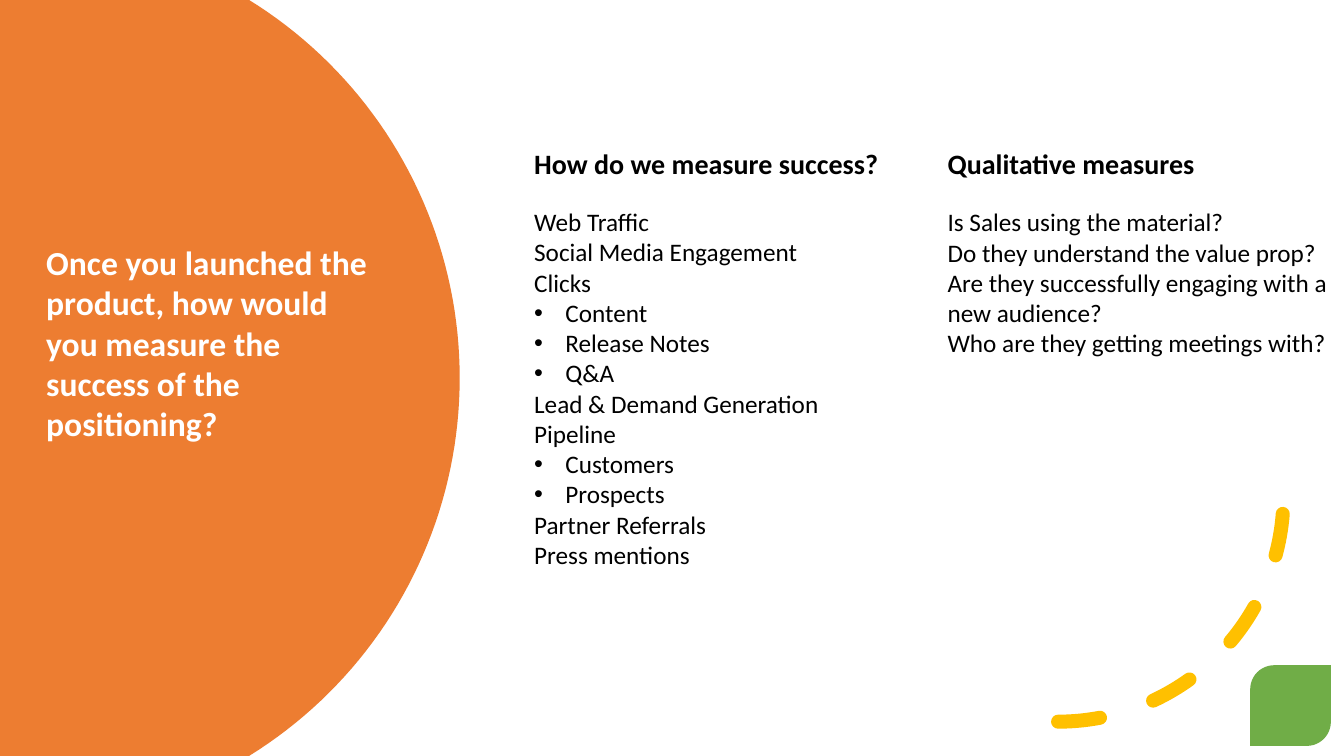
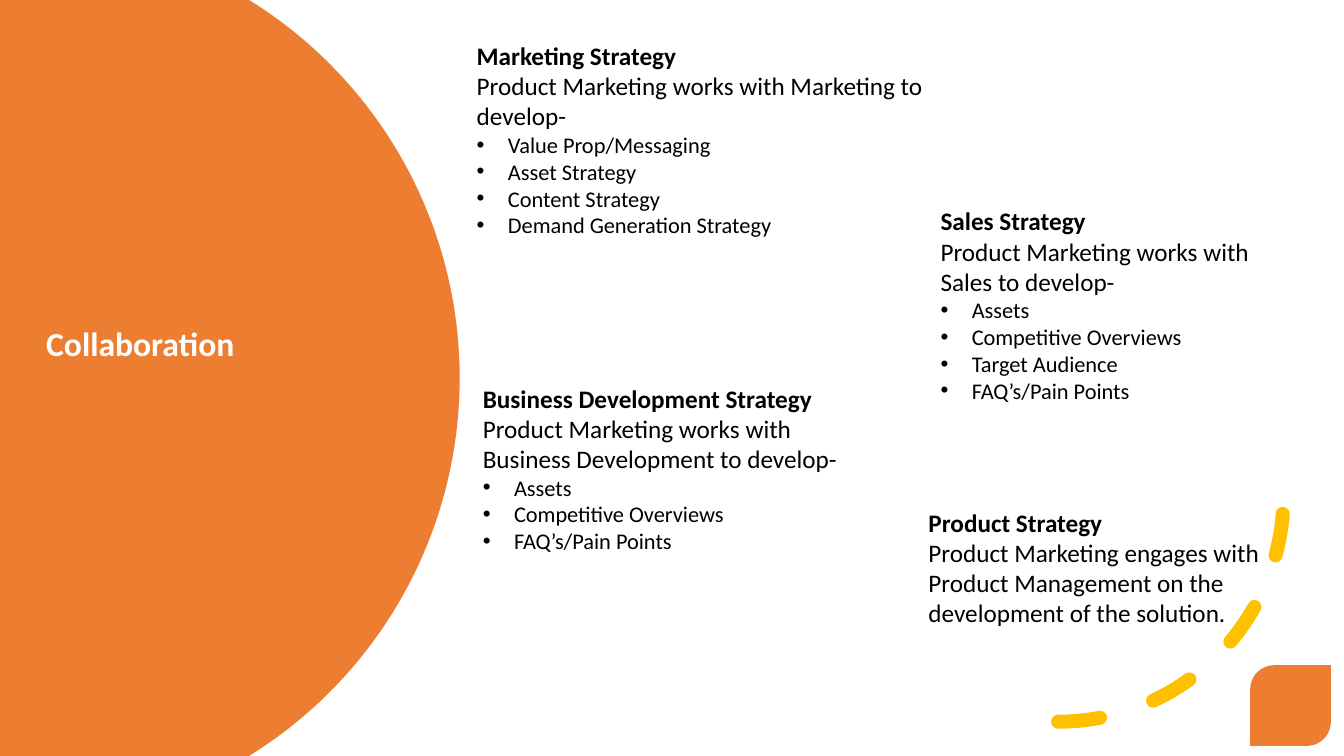
"""Build two slides on measuring positioning success and on collaboration."""
from dataclasses import dataclass
from math import asin, cos, sin

from lxml.etree import SubElement
from pptx import Presentation
from pptx.dml.color import RGBColor
from pptx.enum.dml import MSO_LINE_DASH_STYLE as DASH
from pptx.enum.shapes import MSO_SHAPE as SHAPE
from pptx.enum.text import MSO_ANCHOR as ANCHOR
from pptx.oxml.ns import qn
from pptx.util import Inches, Pt

WIDTH, HEIGHT = 13.33, 7.5
ORANGE, YELLOW, GREEN = "ED7D31", "FFC000", "70AD47"
BLACK, WHITE = "000000", "FFFFFF"
BULLET_INDENT = Inches(0.31)
DISC_CENTRE, DISC_RADIUS, DISC_STEPS = 0.15, 4.41, 80

TITLE = {"name": "Calibri", "size": Pt(24), "bold": True}
HEADING = TITLE | {"size": Pt(20)}
SUBHEADING = TITLE | {"size": Pt(18)}
BODY = SUBHEADING | {"bold": False}
DETAIL = BODY | {"size": Pt(16)}


@dataclass(frozen=True)
class Line:
    """One paragraph with its font values."""
    text: str
    font: dict
    bullet: bool = False


@dataclass(frozen=True)
class Block:
    """A text box: its place in inches and its paragraphs."""
    left: float
    top: float
    width: float
    height: float
    lines: list[Line]


@dataclass(frozen=True)
class Page:
    """The parts that differ from slide to slide."""
    title: str
    corner: str
    blocks: list[Block]


def colour(value: str) -> RGBColor:
    """Turn a hex string into a colour."""
    return RGBColor.from_string(value)


def fill_plain(shape, value: str) -> None:
    """Give a shape a solid fill with no line or shadow."""
    shape.shadow.inherit = False
    shape.fill.solid()
    shape.fill.fore_color.rgb = colour(value)
    shape.line.fill.background()


def add_bullet(paragraph) -> None:
    """Give a paragraph a hanging bullet."""
    properties = paragraph._p.get_or_add_pPr()
    properties.set("marL", str(BULLET_INDENT))
    properties.set("indent", str(-BULLET_INDENT))
    SubElement(properties, qn("a:buFont")).set("typeface", "Arial")
    SubElement(properties, qn("a:buChar")).set("char", "•")


def add_block(slide, block: Block, text_colour: str = BLACK, anchor=ANCHOR.TOP) -> None:
    """Draw a text box with its paragraphs."""
    place = map(Inches, (block.left, block.top, block.width, block.height))
    frame = slide.shapes.add_textbox(*place).text_frame
    frame.word_wrap = True
    frame.vertical_anchor = anchor
    for index, line in enumerate(block.lines):
        paragraph = frame.add_paragraph() if index else frame.paragraphs[0]
        run = paragraph.add_run()
        run.text = line.text
        for name, value in line.font.items():
            setattr(run.font, name, value)
        run.font.color.rgb = colour(text_colour)
        if line.bullet:
            add_bullet(paragraph)


def add_disc(slide) -> None:
    """Draw the large disc cut off by the slide edges."""
    limit = asin(HEIGHT / 2 / DISC_RADIUS)
    angles = [limit * (2 * step / DISC_STEPS - 1) for step in range(DISC_STEPS + 1)]
    points = [(Inches(DISC_CENTRE + DISC_RADIUS * cos(angle)),
               Inches(HEIGHT / 2 + DISC_RADIUS * sin(angle))) for angle in angles]
    builder = slide.shapes.build_freeform(0, 0)
    builder.add_line_segments([*points, (0, Inches(HEIGHT))], close=True)
    fill_plain(builder.convert_to_shape(), ORANGE)


def add_dashed_arc(slide) -> None:
    """Draw the dashed quarter circle at the lower right."""
    arc = slide.shapes.add_shape(SHAPE.ARC, *map(Inches, (8.26, 2.69, 4.47, 4.47)))
    arc.shadow.inherit = False
    arc.fill.background()
    arc.line.color.rgb = colour(YELLOW)
    arc.line.width = Pt(10)
    arc.line.dash_style = DASH.DASH
    arc.line._get_or_add_ln().set("cap", "rnd")
    arc._element.spPr.xfrm.set("flipV", "1")


def add_corner(slide, value: str) -> None:
    """Draw the rounded square in the corner."""
    corner = slide.shapes.add_shape(SHAPE.ROUND_2_DIAG_RECTANGLE,
                                    *map(Inches, (12.4, 6.6, 0.8, 0.8)))
    corner.adjustments[0] = 0.297
    fill_plain(corner, value)


def add_page(presentation, page: Page) -> None:
    """Add one slide with the shared decoration and its text."""
    slide = presentation.slides.add_slide(presentation.slide_layouts[6])
    add_disc(slide)
    add_dashed_arc(slide)
    add_corner(slide, page.corner)
    title = Block(0.36, 1.24, 3.48, 4.32, [Line(page.title, TITLE)])
    add_block(slide, title, WHITE, ANCHOR.MIDDLE)
    for block in page.blocks:
        add_block(slide, block)


def bullets(font: dict, *texts: str) -> list[Line]:
    """Make bulleted lines."""
    return [Line(text, font, True) for text in texts]


def plain(*texts: str) -> list[Line]:
    """Make body lines without bullets."""
    return [Line(text, BODY) for text in texts]


def strategy(heading: str, summary: str, *details: str) -> list[Line]:
    """Make a heading, a summary and its bulleted details."""
    return [Line(heading, SUBHEADING), *plain(summary), *bullets(DETAIL, *details)]


PAGES = [
    Page("Once you launched the product, how would you measure the success "
         "of the positioning?", GREEN, [
             Block(5.2, 1.4, 3.9, 0.44, [Line("How do we measure success?", HEADING)]),
             Block(5.2, 2, 3.9, 4.04, [
                 *plain("Web Traffic", "Social Media Engagement", "Clicks"),
                 *bullets(BODY, "Content", "Release Notes", "Q&A"),
                 *plain("Lead & Demand Generation", "Pipeline"),
                 *bullets(BODY, "Customers", "Prospects"),
                 *plain("Partner Referrals", "Press mentions")]),
             Block(9.3, 1.4, 3.9, 0.44, [Line("Qualitative measures", HEADING)]),
             Block(9.3, 2, 4.09, 1.62, plain(
                 "Is Sales using the material?",
                 "Do they understand the value prop?",
                 "Are they successfully engaging with a new audience?",
                 "Who are they getting meetings with?"))]),
    Page("Collaboration", ORANGE, [
        Block(4.63, 0.35, 4.74, 2.09, strategy(
            "Marketing Strategy", "Product Marketing works with Marketing to develop-",
            "Value Prop/Messaging", "Asset Strategy", "Content Strategy",
            "Demand Generation Strategy")),
        Block(9.23, 1.99, 3.72, 2.09, strategy(
            "Sales Strategy", "Product Marketing works with Sales to develop-",
            "Assets", "Competitive Overviews", "Target Audience", "FAQ’s/Pain Points")),
        Block(4.69, 3.75, 3.72, 1.82, strategy(
            "Business Development Strategy",
            "Product Marketing works with Business Development to develop-",
            "Assets", "Competitive Overviews", "FAQ’s/Pain Points")),
        Block(9.11, 4.98, 3.72, 1.31, strategy(
            "Product Strategy", "Product Marketing engages with Product Management "
            "on the development of the solution."))]),
]


def main() -> None:
    """Build and save the presentation."""
    presentation = Presentation()
    presentation.slide_width = Inches(WIDTH)
    presentation.slide_height = Inches(HEIGHT)
    for page in PAGES:
        add_page(presentation, page)
    presentation.save("out.pptx")


if __name__ == "__main__":
    main()
